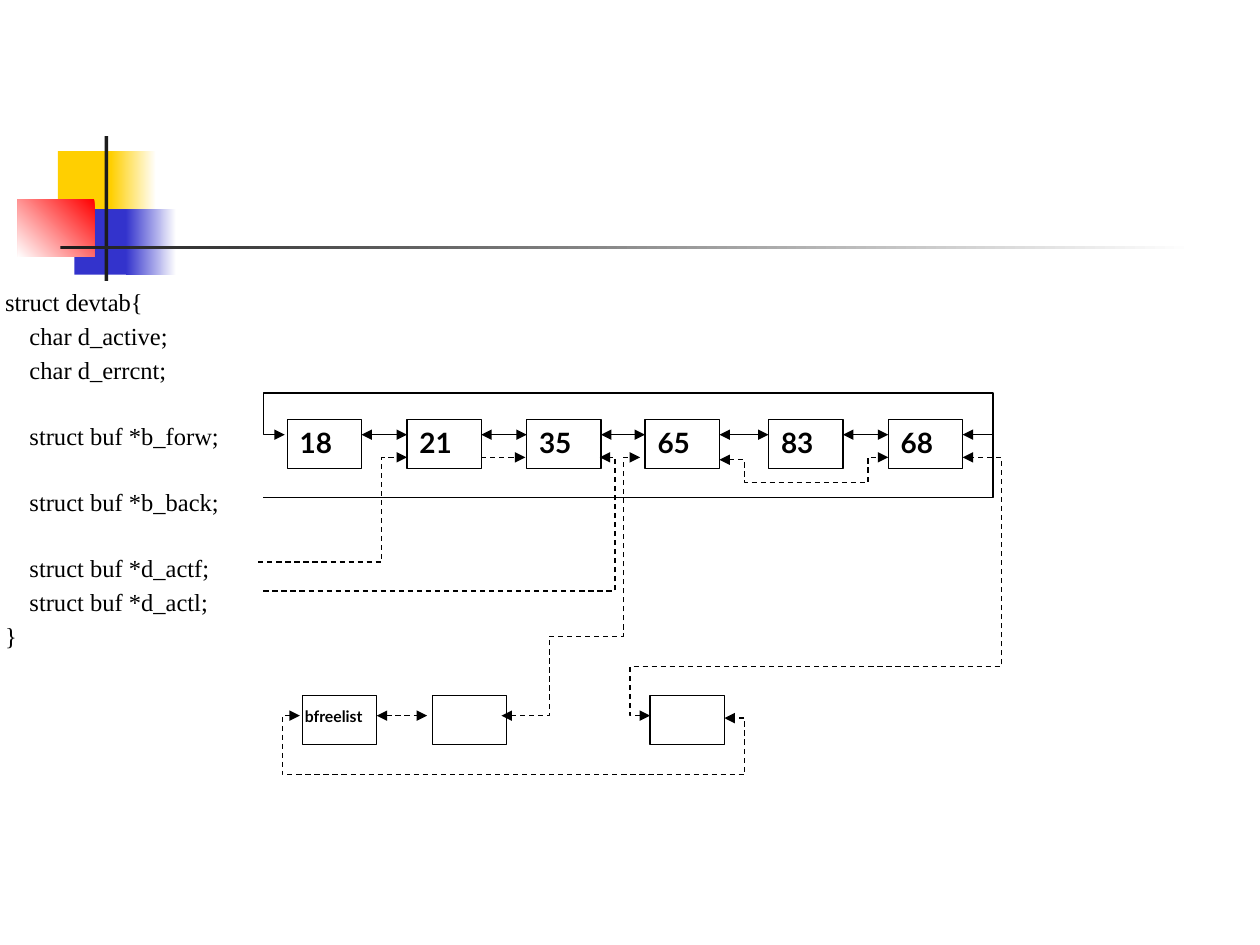
from itertools import pairwise

from lxml.etree import SubElement
from pptx import Presentation
from pptx.dml.color import RGBColor
from pptx.enum.dml import MSO_LINE_DASH_STYLE as DASH
from pptx.enum.shapes import MSO_CONNECTOR, MSO_SHAPE
from pptx.enum.text import MSO_ANCHOR, PP_ALIGN
from pptx.oxml.ns import qn
from pptx.util import Pt

PX = 9144  # 100 px to the inch
COLORS = {
    "black": "000000", "white": "FFFFFF", "yellow": "FFCF01",
    "blue": "3333CC", "red": "FF0000", "charcoal": "1C1C1C",
}
NODE_WIDTH, NODE_HEIGHT = 59, 39
CODE = """struct devtab{
    char d_active;
    char d_errcnt;

    struct buf *b_forw;

    struct buf *b_back;

    struct buf *d_actf;
    struct buf *d_actl;
}"""


def rgb(name):
    return RGBColor.from_string(COLORS[name])


def add_rect(page, left, top, width, height):
    rect = page.shapes.add_shape(
        MSO_SHAPE.RECTANGLE, left * PX, top * PX, width * PX, height * PX)
    rect.shadow.inherit = False
    return rect


def style_font(para, name, size, bold=False):
    for span in para.runs:
        span.font.name = name
        span.font.size = Pt(size)
        span.font.bold = bold
        span.font.color.rgb = rgb("black")


def set_insets(frame, side, top, bottom):
    frame.margin_left = frame.margin_right = side * PX
    frame.margin_top, frame.margin_bottom = top * PX, bottom * PX


def add_link(page, left, top, points, dashed=False, head=True, tail=True):
    """Draw a line through points, given relative to left and top."""
    points = [((left + x) * PX, (top + y) * PX) for x, y in points]
    straight = len(points) == 2
    if straight:
        link = page.shapes.add_connector(MSO_CONNECTOR.STRAIGHT, *points[0], *points[1])
    else:
        builder = page.shapes.build_freeform(*points[0])
        builder.add_line_segments(points[1:], close=False)
        link = builder.convert_to_shape()
        link.fill.background()
        link.shadow.inherit = False
    link.line.color.rgb = rgb("black")
    link.line.width = Pt(0.75)
    if dashed:
        link.line.dash_style = DASH.DASH
    properties = link.element.spPr
    outline = properties.find(qn("a:ln"))
    for tag, shown in (("a:headEnd", head), ("a:tailEnd", tail)):
        if shown:
            SubElement(outline, qn(tag), type="triangle")
    if straight:
        SubElement(properties, qn("a:effectLst"))


def add_node(page, left, top, label="", size=16, side=10, inset=5):
    node = add_rect(page, left, top, NODE_WIDTH, NODE_HEIGHT)
    node.fill.background()
    node.line.color.rgb = rgb("black")
    node.line.width = Pt(0.75)
    if label:
        frame = node.text_frame
        frame.text = label
        frame.vertical_anchor = MSO_ANCHOR.TOP
        set_insets(frame, side, inset, inset)
        frame.paragraphs[0].alignment = PP_ALIGN.LEFT
        style_font(frame.paragraphs[0], "Lato", size, bold=True)


def add_decoration(page, left, top):
    """Coloured squares crossed by two bars; an angle means a fade to white."""
    parts = [
        (32, 12, 48, 52, "yellow", None),
        (74, 12, 36, 52, "yellow", 0),
        (45, 58, 46, 52, "blue", None),
        (86, 58, 40, 52, "blue", 0),
        (0, 50, 61, 46, "red", 225),
        (69, 0, 3, 115, "charcoal", None),
        (34, 87, 900, 3, "charcoal", 0),
    ]
    for x, y, width, height, color, angle in parts:
        part = add_rect(page, left + x, top + y, width, height)
        part.line.fill.background()
        if angle is None:
            part.fill.solid()
            part.fill.fore_color.rgb = rgb(color)
            continue
        part.fill.gradient()
        part.fill.gradient_angle = angle
        for stop, position, name in zip(part.fill.gradient_stops, (0, 1), (color, "white")):
            stop.position = position
            stop.color.rgb = rgb(name)


def add_code(page, left, top, width, height):
    box = page.shapes.add_textbox(left * PX, top * PX, width * PX, height * PX)
    frame = box.text_frame
    frame.word_wrap = True
    set_insets(frame, 0, 23, 5)
    para, gap = frame.paragraphs[0], 0
    for line in CODE.splitlines():
        if not line:
            gap = 21
            continue
        if para.text:
            para = frame.add_paragraph()
            para.space_before = Pt(gap)
        para.text = line
        style_font(para, "Times New Roman", 14)
        gap = 2.5


def add_device_queue(page, left, top):
    nodes = {"18": 19, "21": 114, "35": 209, "65": 303, "83": 401, "68": 496}
    for label, x in nodes.items():
        add_node(page, left + x, top + 21, label)
    for start, end in pairwise(nodes.values()):
        add_link(page, left, top, [(start + NODE_WIDTH, 33), (end, 33)])
    forward_loop = [(17, 33), (0, 33), (0, 0), (579, 0), (579, 33), (555, 33)]
    back_line = [(0, 83), (579, 83), (579, 32)]
    free_link = [(362, 53), (382, 53), (382, 71), (480, 71), (480, 51), (496, 51)]
    add_link(page, left, top, forward_loop)
    add_link(page, left, top, back_line, head=False, tail=False)
    add_link(page, left, top, free_link, dashed=True)
    active_links = [
        [(173, 51), (208, 51)],
        [(-4, 134), (94, 134), (94, 51), (114, 51)],
        [(0, 157), (279, 157), (279, 51), (267, 51)],
    ]
    for points in active_links:
        add_link(page, left, top, points, dashed=True, head=False)


def add_free_list(page, left, top):
    add_node(page, left + 16, top, "bfreelist", size=9, side=2, inset=9)
    for x in (119, 292):
        add_node(page, left + x, top)
    links = [
        [(75, 16), (115, 16)],
        [(14, 16), (0, 16), (0, 63), (367, 63), (367, 18), (351, 18)],
        [(174, 16), (212, 16), (212, -47), (271, -47), (271, -189), (284, -189)],
        [(292, 16), (276, 16), (276, -23), (571, -23), (571, -189), (540, -189)],
    ]
    for points in links:
        add_link(page, left, top, points, dashed=True)


def main():
    deck = Presentation()
    deck.slide_width, deck.slide_height = 1000 * PX, 750 * PX
    page = deck.slides.add_slide(deck.slide_layouts[6])
    add_decoration(page, 14, 108)
    add_code(page, 4, 205, 197, 308)
    add_device_queue(page, 209, 312)
    add_free_list(page, 224, 552)
    deck.save("out.pptx")


if __name__ == "__main__":
    main()
